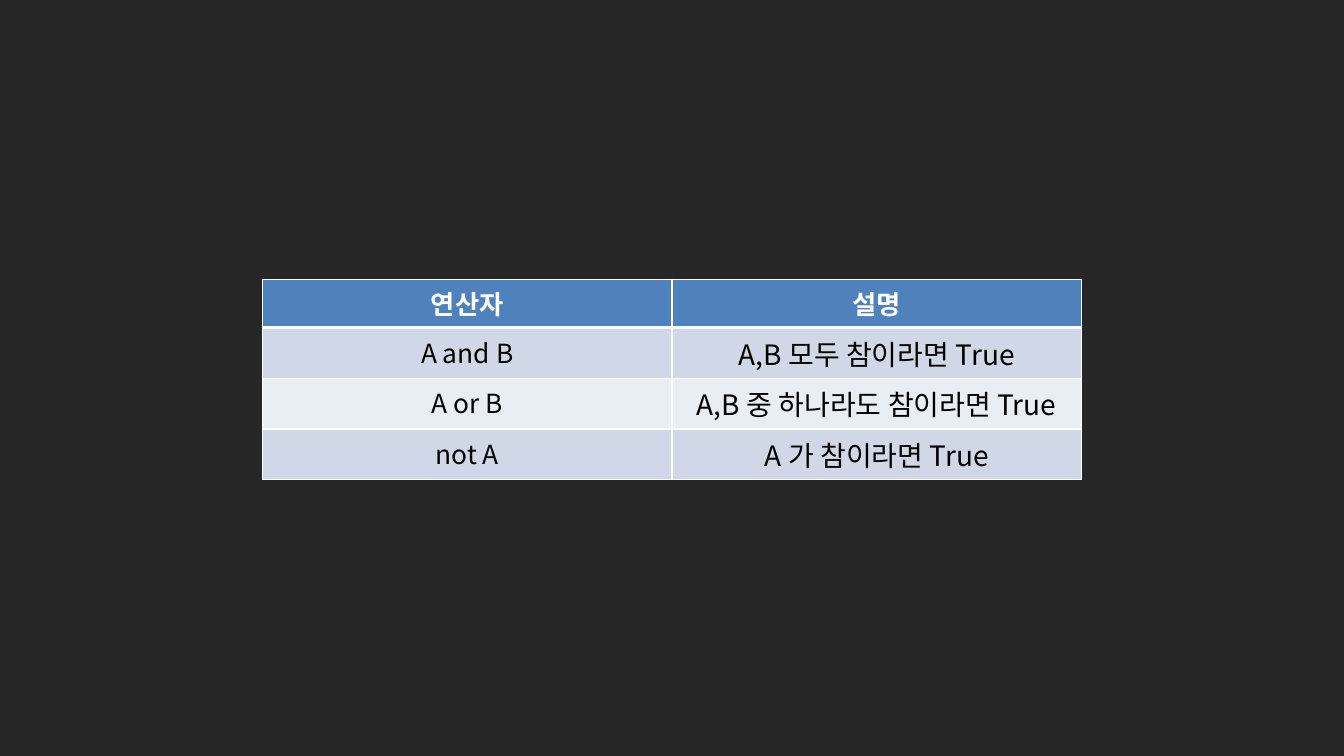
from lxml import etree
from pptx import Presentation
from pptx.dml.color import RGBColor
from pptx.enum.text import PP_ALIGN
from pptx.oxml.ns import qn
from pptx.util import Inches, Pt

ROWS = [
    ("연산자", "설명"),
    ("A and B", "A,B 모두 참이라면 True"),
    ("A or B", "A,B 중 하나라도 참이라면 True"),
    ("not A", "A 가 참이라면 True"),
]
COLORS = {
    "background": "262626",
    "header": "4F81BD",
    "odd": "D0D8E8",
    "even": "E9EDF4",
    "white": "FFFFFF",
    "black": "000000",
}
FONT = "Noto Sans CJK KR"
CENTER = PP_ALIGN.CENTER
SLIDE_W, SLIDE_H = 13.33, 7.5
COL_W, ROW_H, TABLE_TOP = 4.06, 0.41, 2.77


def rgb(name):
    return RGBColor.from_string(COLORS[name])


def write(tf, text, size, color, bold=False):
    p = tf.paragraphs[0]
    p.alignment = CENTER
    r = p.add_run()
    r.text = text
    r.font.size = Pt(size)
    r.font.bold = bold
    r.font.color.rgb = rgb(color)
    r.font.name = FONT
    etree.SubElement(r.font._element, qn("a:ea"), typeface=FONT)


def set_borders(cell, **widths):
    """Draw white cell edges; widths are points keyed L, R, T, B."""
    tc_pr = cell._tc.get_or_add_tcPr()
    for side, width in widths.items():
        ln = etree.SubElement(tc_pr, qn("a:ln" + side), w=str(Pt(width)))
        fill = etree.SubElement(ln, qn("a:solidFill"))
        etree.SubElement(fill, qn("a:srgbClr"), val=COLORS["white"])


def add_operator_table(slide):
    cols = len(ROWS[0])
    width = cols * COL_W
    table = slide.shapes.add_table(
        len(ROWS), cols, Inches((SLIDE_W - width) / 2), Inches(TABLE_TOP),
        Inches(width), Inches(len(ROWS) * ROW_H)).table
    for i, row in enumerate(ROWS):
        table.rows[i].height = Inches(ROW_H)
        header = i == 0
        band = "header" if header else "odd" if i % 2 else "even"
        for j, text in enumerate(row):
            cell = table.cell(i, j)
            set_borders(cell, L=1, R=1, T=3 if i == 1 else 1, B=3 if header else 1)
            cell.fill.solid()
            cell.fill.fore_color.rgb = rgb(band)
            write(cell.text_frame, text,
                  size=20 if j and not header else 18.8,
                  color="white" if header else "black", bold=header)


def main():
    prs = Presentation()
    prs.slide_width, prs.slide_height = Inches(SLIDE_W), Inches(SLIDE_H)
    slide = prs.slides.add_slide(prs.slide_layouts[6])
    slide.background.fill.solid()
    slide.background.fill.fore_color.rgb = rgb("background")
    add_operator_table(slide)
    prs.save("out.pptx")


if __name__ == "__main__":
    main()
